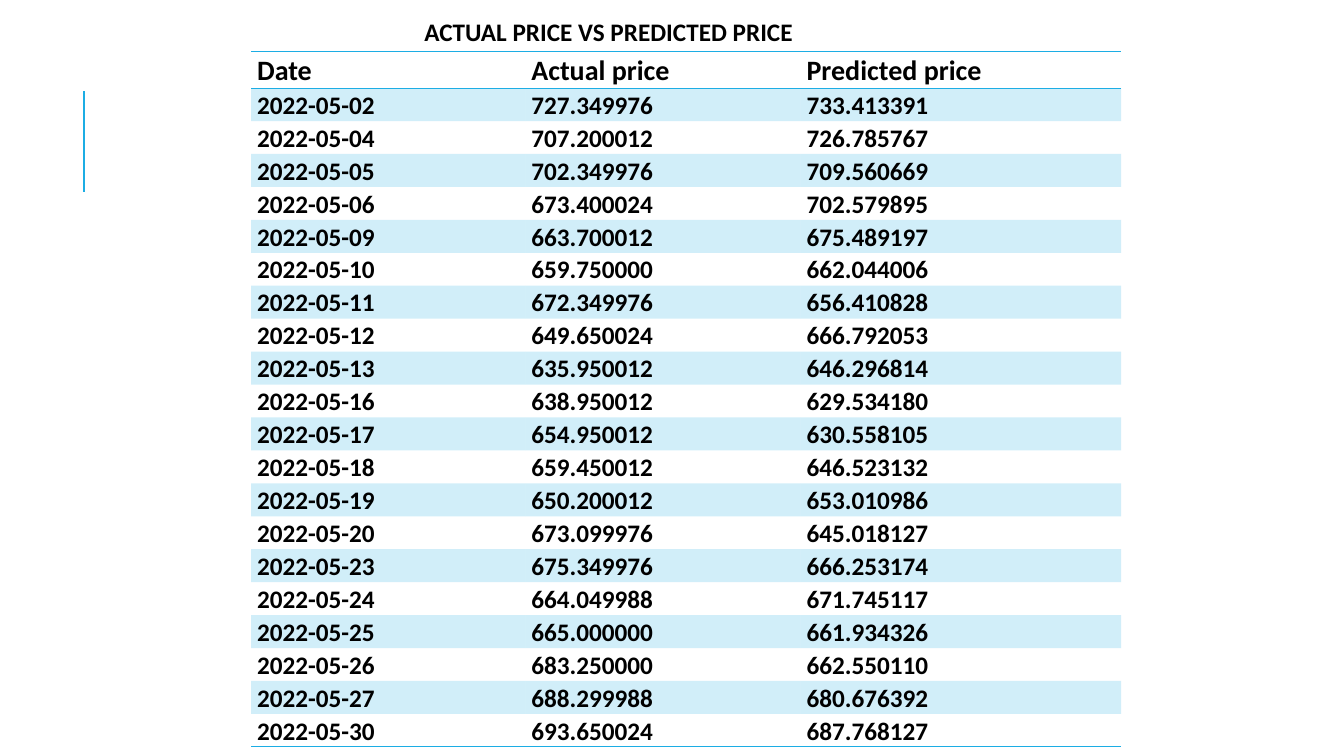
"""Builds a slide with a table of actual and predicted daily prices."""
from dataclasses import dataclass

from lxml import etree
from pptx import Presentation
from pptx.dml.color import RGBColor
from pptx.enum.shapes import MSO_CONNECTOR
from pptx.enum.text import MSO_ANCHOR, MSO_AUTO_SIZE, PP_ALIGN
from pptx.oxml.ns import qn
from pptx.slide import Slide
from pptx.table import _Cell
from pptx.util import Inches, Pt

STRAIGHT = MSO_CONNECTOR.STRAIGHT
TOP = MSO_ANCHOR.TOP
FIT_SHAPE = MSO_AUTO_SIZE.SHAPE_TO_FIT_TEXT
JUSTIFY = PP_ALIGN.JUSTIFY
NO_STYLE = "{2D5ABB26-0587-4C30-8999-92F81FD0307C}"


@dataclass(frozen=True)
class Theme:
    font: str = "Calibri"
    text: str = "000000"
    accent: str = "1CADE4"
    band_alpha: int = 20
    header_size: int = 20
    body_size: int = 18
    rule_width: float = 1
    accent_width: float = 1.5


@dataclass(frozen=True)
class PriceRow:
    date: str
    actual: str
    predicted: str


THEME = Theme()
COLUMN_WIDTHS = (2.72, 2.73, 3.18)
ROW_HEIGHT = 0.32
HEADER = PriceRow("Date", "Actual price", "Predicted price")
PRICES = (
    PriceRow("2022-05-02", "727.349976", "733.413391"),
    PriceRow("2022-05-04", "707.200012", "726.785767"),
    PriceRow("2022-05-05", "702.349976", "709.560669"),
    PriceRow("2022-05-06", "673.400024", "702.579895"),
    PriceRow("2022-05-09", "663.700012", "675.489197"),
    PriceRow("2022-05-10", "659.750000", "662.044006"),
    PriceRow("2022-05-11", "672.349976", "656.410828"),
    PriceRow("2022-05-12", "649.650024", "666.792053"),
    PriceRow("2022-05-13", "635.950012", "646.296814"),
    PriceRow("2022-05-16", "638.950012", "629.534180"),
    PriceRow("2022-05-17", "654.950012", "630.558105"),
    PriceRow("2022-05-18", "659.450012", "646.523132"),
    PriceRow("2022-05-19", "650.200012", "653.010986"),
    PriceRow("2022-05-20", "673.099976", "645.018127"),
    PriceRow("2022-05-23", "675.349976", "666.253174"),
    PriceRow("2022-05-24", "664.049988", "671.745117"),
    PriceRow("2022-05-25", "665.000000", "661.934326"),
    PriceRow("2022-05-26", "683.250000", "662.550110"),
    PriceRow("2022-05-27", "688.299988", "680.676392"),
    PriceRow("2022-05-30", "693.650024", "687.768127"),
)


def set_font(p, size: int) -> None:
    p.font.name = THEME.font
    p.font.size = Pt(size)
    p.font.bold = True
    p.font.color.rgb = RGBColor.from_string(THEME.text)


def add_border(cell: _Cell, tag: str) -> None:
    tc_pr = cell._tc.get_or_add_tcPr()
    ln = etree.SubElement(tc_pr, qn(tag), w=str(Pt(THEME.rule_width)))
    fill = etree.SubElement(ln, qn("a:solidFill"))
    etree.SubElement(fill, qn("a:srgbClr"), val=THEME.accent)


def fill_band(cell: _Cell) -> None:
    cell.fill.solid()
    cell.fill.fore_color.rgb = RGBColor.from_string(THEME.accent)
    color = cell._tc.tcPr.find(".//" + qn("a:solidFill") + "/" + qn("a:srgbClr"))
    etree.SubElement(color, qn("a:alpha"), val=str(THEME.band_alpha * 1000))


def write_cell(cell: _Cell, text: str, size: int) -> None:
    cell.margin_left = cell.margin_right = Inches(0.06)
    cell.margin_top = cell.margin_bottom = 0
    cell.vertical_anchor = TOP
    p = cell.text_frame.paragraphs[0]
    p.text = text
    p.alignment = JUSTIFY
    p.line_spacing = 1.07
    p.space_after = Pt(8)
    set_font(p, size)


def add_accent_line(s: Slide) -> None:
    line = s.shapes.add_connector(
        STRAIGHT, Inches(0.83), Inches(1.9), Inches(0.83), Inches(0.9))
    line.line.color.rgb = RGBColor.from_string(THEME.accent)
    line.line.width = Pt(THEME.accent_width)
    etree.SubElement(line._element.spPr, qn("a:effectLst"))


def add_price_table(s: Slide) -> None:
    rows = (HEADER, *PRICES)
    table = s.shapes.add_table(
        len(rows), len(COLUMN_WIDTHS), Inches(2.49), Inches(0.51),
        Inches(sum(COLUMN_WIDTHS)), Inches(ROW_HEIGHT * len(rows))).table
    table.first_row = table.horz_banding = False
    table._tbl.tblPr.find(qn("a:tableStyleId")).text = NO_STYLE
    for column, width in zip(table.columns, COLUMN_WIDTHS):
        column.width = Inches(width)
    for i, row in enumerate(rows):
        table.rows[i].height = Inches(ROW_HEIGHT)
        size = THEME.body_size if i else THEME.header_size
        for j, text in enumerate((row.date, row.actual, row.predicted)):
            cell = table.cell(i, j)
            write_cell(cell, text, size)
            if i == 0:
                add_border(cell, "a:lnT")
            if i in (0, len(rows) - 1):
                add_border(cell, "a:lnB")
            if i % 2:
                fill_band(cell)
            else:
                cell.fill.background()


def add_title(s: Slide) -> None:
    sp = s.shapes.add_textbox(Inches(4.11), Inches(0.11), Inches(7.72), Inches(0.4))
    tf = sp.text_frame
    tf.word_wrap = True
    tf.auto_size = FIT_SHAPE
    p = tf.paragraphs[0]
    p.text = "ACTUAL PRICE VS PREDICTED PRICE"
    set_font(p, THEME.body_size)


def main() -> None:
    prs = Presentation()
    prs.slide_width = Inches(13.33)
    prs.slide_height = Inches(7.5)
    s = prs.slides.add_slide(prs.slide_layouts[6])
    add_accent_line(s)
    add_price_table(s)
    add_title(s)
    prs.save("out.pptx")


if __name__ == "__main__":
    main()
